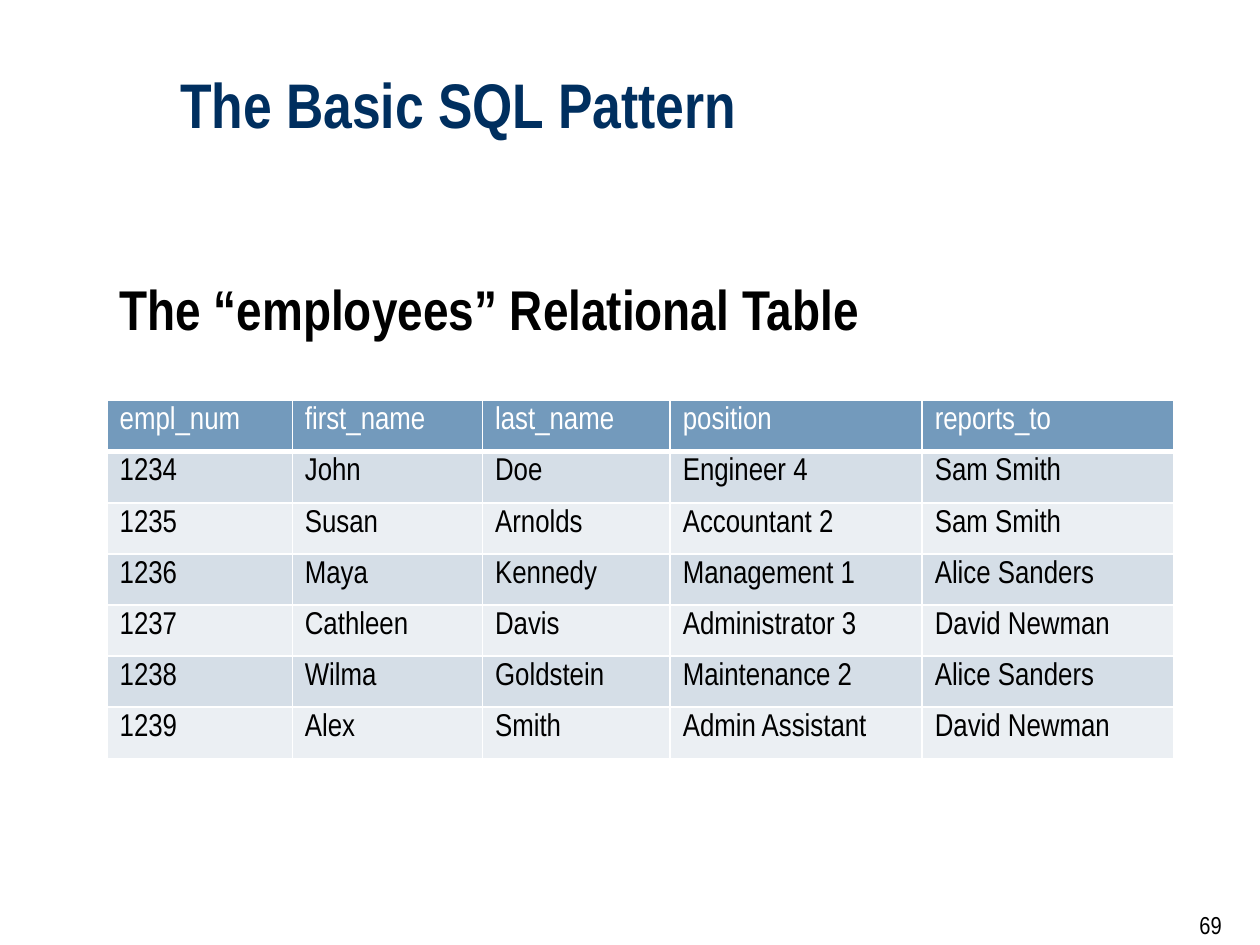
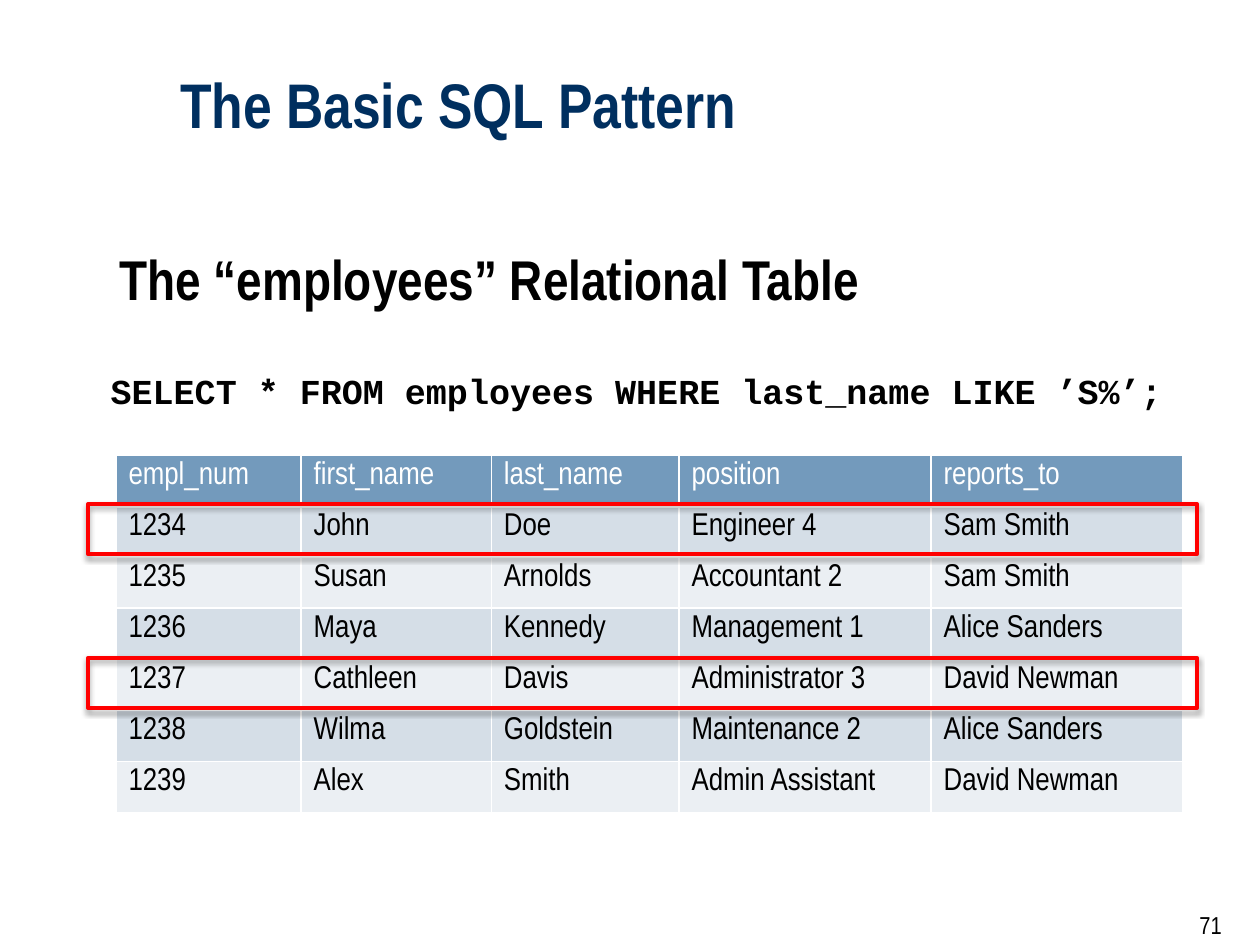
"""Build two slides on the basic SQL pattern with an employee table."""
from dataclasses import dataclass
from typing import Any, NamedTuple

from lxml.etree import SubElement
from pptx import Presentation
from pptx.dml.color import RGBColor
from pptx.enum.shapes import MSO_SHAPE
from pptx.enum.text import MSO_ANCHOR, MSO_AUTO_SIZE, PP_ALIGN
from pptx.oxml.ns import qn
from pptx.slide import Slide
from pptx.util import Inches, Pt


@dataclass(frozen=True)
class Theme:
    sans: str = "Arial Narrow"
    mono: str = "Courier New"
    navy: str = "002F5F"
    black: str = "000000"
    white: str = "FFFFFF"
    head: str = "739ABC"
    bands: tuple[str, str] = ("D5DEE7", "EBEFF3")
    red: str = "FF0000"
    title: int = 36
    lead: int = 32
    code: int = 20
    cell: int = 18
    page: int = 14


class Box(NamedTuple):
    left: float
    top: float
    width: float
    height: float


class Style(NamedTuple):
    size: int
    color: str
    bold: bool = False
    name: str = Theme.sans


class Label(NamedTuple):
    text: str
    box: Box
    style: Style


class Page(NamedTuple):
    grid: Box
    labels: list[Label]
    marks: list[Box]


LOOK = Theme()
TITLE = Label("The Basic SQL Pattern", Box(1.33, 0.22, 8.17, 0.95),
              Style(LOOK.title, LOOK.navy, True))
LEAD = Style(LOOK.lead, LOOK.black, True)
CODE = Style(LOOK.code, LOOK.black, True, LOOK.mono)
PLAIN = Style(LOOK.cell, LOOK.black)
HEAD = Style(LOOK.cell, LOOK.white)
FOOT = Style(LOOK.page, LOOK.black)
FOOT_BOX = Box(9.42, 7.17, 0.42, 0.34)
LEAD_TEXT = "The “employees” Relational Table"
WIDTHS = (1.47, 1.51, 1.49, 2, 2)
STAFF = (
    ("empl_num", "first_name", "last_name", "position", "reports_to"),
    ("1234", "John", "Doe", "Engineer 4", "Sam Smith"),
    ("1235", "Susan", "Arnolds", "Accountant 2", "Sam Smith"),
    ("1236", "Maya", "Kennedy", "Management 1", "Alice Sanders"),
    ("1237", "Cathleen", "Davis", "Administrator 3", "David Newman"),
    ("1238", "Wilma", "Goldstein", "Maintenance 2", "Alice Sanders"),
    ("1239", "Alex", "Smith", "Admin Assistant", "David Newman"),
)
PAGES = (
    Page(Box(0.85, 3.18, 8.47, 2.84), [
        Label("69", FOOT_BOX, FOOT),
        Label(LEAD_TEXT, Box(0.85, 2.13, 6.45, 0.64), LEAD),
    ], []),
    Page(Box(0.92, 3.61, 8.47, 2.84), [
        Label("71", FOOT_BOX, FOOT),
        Label(LEAD_TEXT, Box(0.85, 1.89, 6.45, 0.64), LEAD),
        Label("SELECT * FROM employees WHERE last_name LIKE ’S%’;",
              Box(0.78, 2.88, 8.62, 0.44), CODE),
    ], [Box(0.7, top, 8.8, 0.4) for top in (4, 5.22)]),
)


def place(box: Box) -> list[int]:
    return [Inches(side) for side in box]


def apply(item: Any, form: dict[str, Any]) -> None:
    for key, value in form.items():
        setattr(item, key, value)


def write(frame: Any, text: str, style: Style) -> None:
    frame.text = text
    font = frame.paragraphs[0].runs[0].font
    apply(font, {"name": style.name, "size": Pt(style.size), "bold": style.bold})
    font.color.rgb = RGBColor.from_string(style.color)


def add_title(slide: Slide) -> None:
    shape = slide.shapes.title
    apply(shape, dict(zip(Box._fields, place(TITLE.box))))
    write(shape.text_frame, TITLE.text, TITLE.style)
    apply(shape.text_frame, {"vertical_anchor": MSO_ANCHOR.BOTTOM,
                             "auto_size": MSO_AUTO_SIZE.NONE, "word_wrap": True})
    apply(shape.text_frame.paragraphs[0],
          {"alignment": PP_ALIGN.LEFT, "line_spacing": 0.85})


def add_label(slide: Slide, label: Label) -> None:
    frame = slide.shapes.add_textbox(*place(label.box)).text_frame
    write(frame, label.text, label.style)
    apply(frame, {"word_wrap": False, "auto_size": MSO_AUTO_SIZE.SHAPE_TO_FIT_TEXT})


def add_edges(cell: Any, base: int) -> None:
    props = cell._tc.get_or_add_tcPr()
    for side, width in {"L": 1, "R": 1, "T": 1, "B": base}.items():
        line = SubElement(props, qn(f"a:ln{side}"), w=str(Pt(width)))
        fill = SubElement(line, qn("a:solidFill"))
        SubElement(fill, qn("a:srgbClr"), val=LOOK.white)


def add_grid(slide: Slide, box: Box) -> None:
    table = slide.shapes.add_table(len(STAFF), len(WIDTHS), *place(box)).table
    for column, width in zip(table.columns, WIDTHS):
        column.width = Inches(width)
    for row, words in enumerate(STAFF):
        table.rows[row].height = Inches(box.height / len(STAFF))
        tint = LOOK.bands[(row - 1) % 2] if row else LOOK.head
        for col, word in enumerate(words):
            cell = table.cell(row, col)
            write(cell.text_frame, word, PLAIN if row else HEAD)
            add_edges(cell, 1 if row else 3)
            cell.fill.solid()
            cell.fill.fore_color.rgb = RGBColor.from_string(tint)


def add_mark(slide: Slide, box: Box) -> None:
    shape = slide.shapes.add_shape(MSO_SHAPE.RECTANGLE, *place(box))
    shape.fill.background()
    shape.line.width = Pt(2.25)
    shape.line.color.rgb = RGBColor.from_string(LOOK.red)
    shape.shadow.inherit = False
    shade = SubElement(shape._element.spPr.find(qn("a:effectLst")),
                       qn("a:outerShdw"), blurRad=str(Pt(3.1)),
                       dist=str(Pt(1.8)), dir="5400000", rotWithShape="0")
    color = SubElement(shade, qn("a:srgbClr"), val=LOOK.black)
    SubElement(color, qn("a:alpha"), val="35000")


def main() -> None:
    deck = Presentation()
    apply(deck, {"slide_width": Inches(10), "slide_height": Inches(7.5)})
    for page in PAGES:
        slide = deck.slides.add_slide(deck.slide_layouts[5])
        add_title(slide)
        add_grid(slide, page.grid)
        for mark in page.marks:
            add_mark(slide, mark)
        for label in page.labels:
            add_label(slide, label)
    deck.save("out.pptx")


if __name__ == "__main__":
    main()
